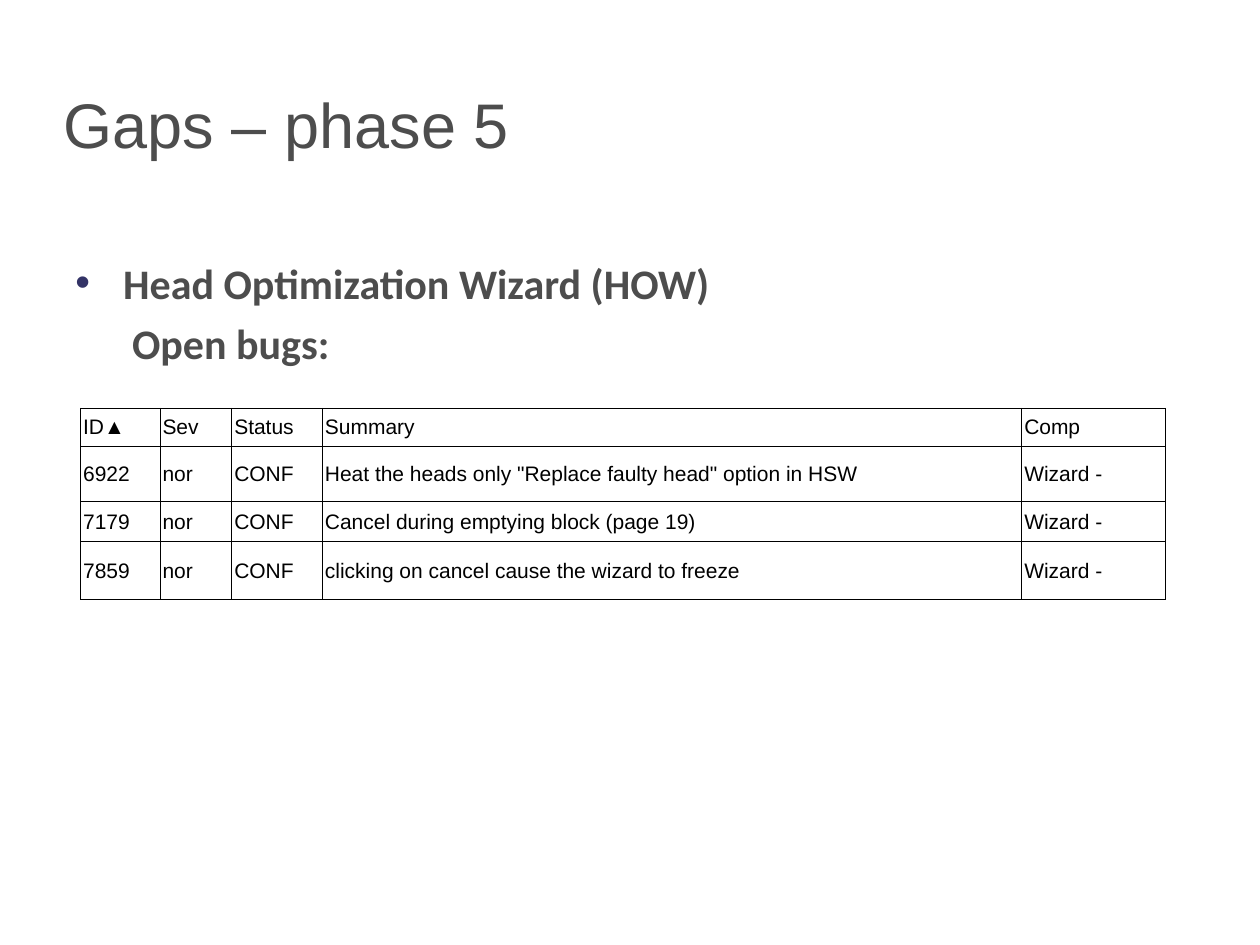
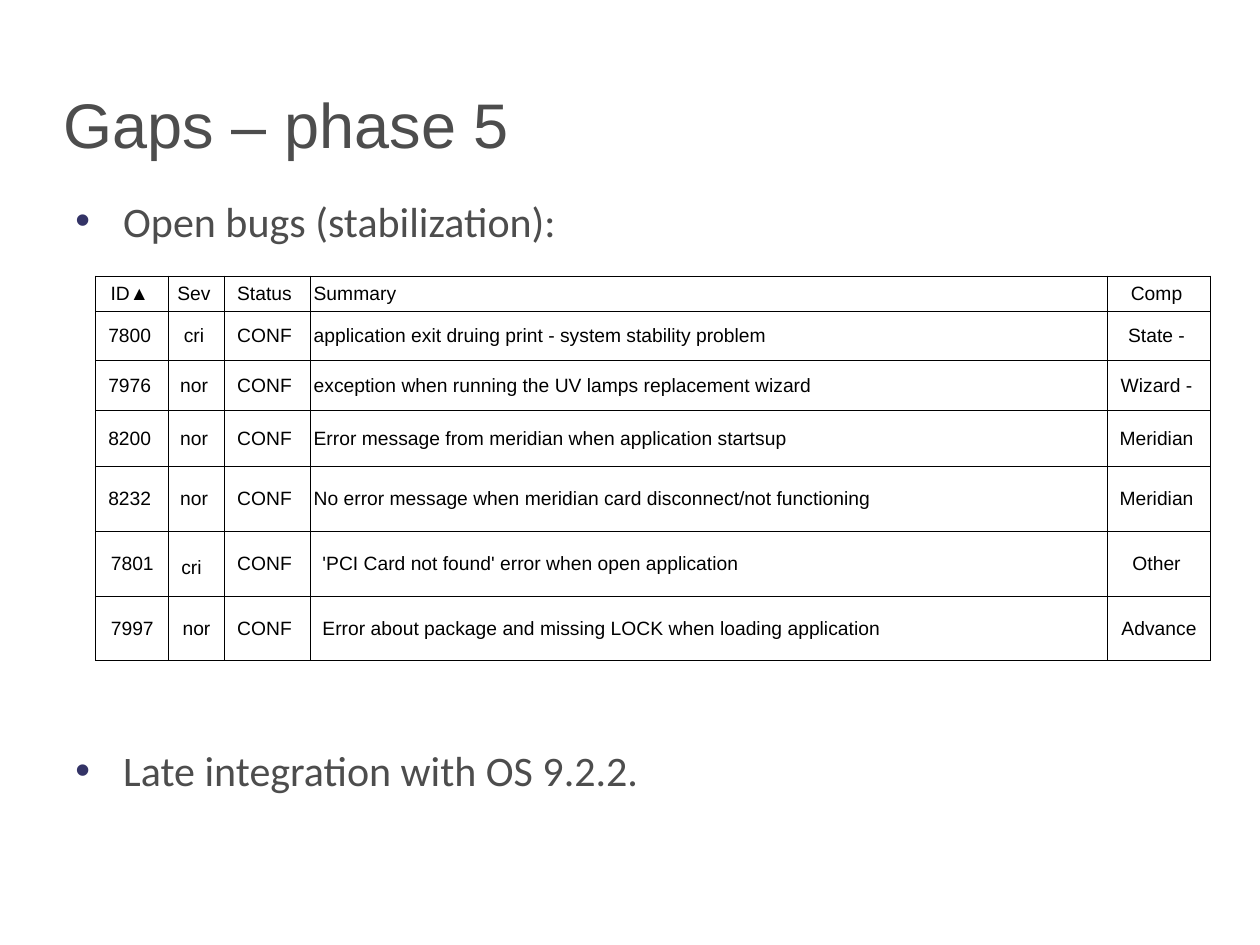
from lxml import etree
from pptx import Presentation, util as u
from pptx.dml.color import RGBColor
from pptx.enum import text
from pptx.oxml import ns

PX = 9144  # 100 px to the inch
INK = {"text": "4D4D4D", "dot": "333366", "cell": "000000"}
MID = text.MSO_ANCHOR.MIDDLE


def style(para, size, face, ink, bold=False):
    font = para.font
    font.size, font.name, font.bold = u.Pt(size), face, bold
    font.color.rgb = RGBColor.from_string(INK[ink])


def add(top, tag, **attrs):
    node = etree.SubElement(top, ns.qn(tag))
    for key, val in attrs.items():
        node.set(key, str(val))
    return node


# Body lines: text, bullet, left indent in px, space before in points
pages = [
    {
        "top": 54, "bold": True,
        "lines": [("Head Optimization Wizard (HOW)", True, 38, 0),
                  ("Open bugs:", False, 45, 6)],
        "at": (64, 324), "size": 12, "pad": 2, "mid": False,
        "cols": [63, 57, 72, 555, 114],
        "rows": [22, 44, 32, 46],
        "bugs": [
            ("6922", "nor", "CONF", 'Heat the heads only "Replace faulty head" option in HSW', "Wizard -"),
            ("7179", "nor", "CONF", "Cancel during emptying block (page 19)", "Wizard -"),
            ("7859", "nor", "CONF", "clicking on cancel cause the wizard to freeze", "Wizard -"),
        ],
    },
    {
        "top": 5, "bold": False,
        "lines": [("Open bugs (stabilization):", True, 38, 0),
                  ("Late integration with OS 9.2.2.", True, 38, 285)],
        "at": (76, 219), "size": 11, "pad": 3, "mid": True,
        "cols": [58, 44, 68, 633, 82],
        "rows": [21, 39, 39, 45, 51, 52, 51],
        "bugs": [
            ("7800", "cri", "CONF", "application exit druing print - system stability problem", "State -"),
            ("7976", "nor", "CONF", "exception when running the UV lamps replacement wizard", "Wizard -"),
            ("8200", "nor", "CONF", "Error message from meridian when application startsup", "Meridian"),
            ("8232", "nor", "CONF", "No error message when meridian card disconnect/not functioning", "Meridian"),
            ("7801", "cri", "CONF", "'PCI Card not found' error when open application", "Other"),
            ("7997", "nor", "CONF", "Error about package and missing LOCK when loading application", "Advance"),
        ],
    },
]
heads = ("ID▲", "Sev", "Status", "Summary", "Comp")

deck = Presentation()
deck.slide_width, deck.slide_height = 1000 * PX, 750 * PX

for page in pages:
    slide = deck.slides.add_slide(deck.slide_layouts[6])

    # Title
    frame = slide.shapes.add_textbox(41 * PX, 67 * PX, 900 * PX, 61 * PX).text_frame
    frame.word_wrap, frame.vertical_anchor = True, MID
    frame.text = "Gaps – phase 5"
    style(frame.paragraphs[0], 36, "Arial", "text")

    # Body text
    frame = slide.shapes.add_textbox(50 * PX, 150 * PX, 900 * PX, 495 * PX).text_frame
    frame.word_wrap, frame.margin_top = True, page["top"] * PX
    for i, (words, dot, left, gap) in enumerate(page["lines"]):
        para = frame.add_paragraph() if i else frame.paragraphs[0]
        para.text = words
        if gap:
            para.space_before = u.Pt(gap)
        props = para._p.get_or_add_pPr()
        props.set("marL", str(left * PX))
        props.set("indent", str(-left * PX if dot else 0))
        if dot:
            add(add(props, "a:buClr"), "a:srgbClr", val=INK["dot"])
            add(props, "a:buFont", typeface="Arial")
            add(props, "a:buChar", char="•")
        style(para, 24, "Calibri", "text", page["bold"])

    # Bug table
    cols, rows, pad = page["cols"], page["rows"], page["pad"]
    x, y = page["at"]
    grid = slide.shapes.add_table(len(rows), len(cols), x * PX, y * PX,
                                  sum(cols) * PX, sum(rows) * PX).table
    grid.first_row = grid.horz_banding = False
    for c, wide in enumerate(cols):
        grid.columns[c].width = wide * PX
    for r, bug in enumerate([heads] + page["bugs"]):
        grid.rows[r].height = rows[r] * PX
        for c, words in enumerate(bug):
            cell = grid.cell(r, c)
            cell.text = words
            cell.vertical_anchor = MID
            para = cell.text_frame.paragraphs[0]
            style(para, page["size"], "Arial", "cell")
            left = right = pad
            if page["mid"]:
                late = r > 4  # the last two bugs sit further right
                if c == 3:
                    left = 10 if late else pad
                else:
                    para.alignment = text.PP_ALIGN.CENTER
                    if not (late and c < 2 or words == "Advance"):
                        right += 4
            cell.margin_left, cell.margin_right = left * PX, right * PX
            cell.margin_top = cell.margin_bottom = 5 * PX
            if (words, r) == ("cri", 5):
                cell.margin_right, cell.margin_top = 11 * PX, 11 * PX
            props = cell._tc.get_or_add_tcPr()
            for side in "LRTB":
                line = add(props, "a:ln" + side, w=5715)
                add(add(line, "a:solidFill"), "a:srgbClr", val=INK["cell"])
            cell.fill.background()

deck.save("out.pptx")
